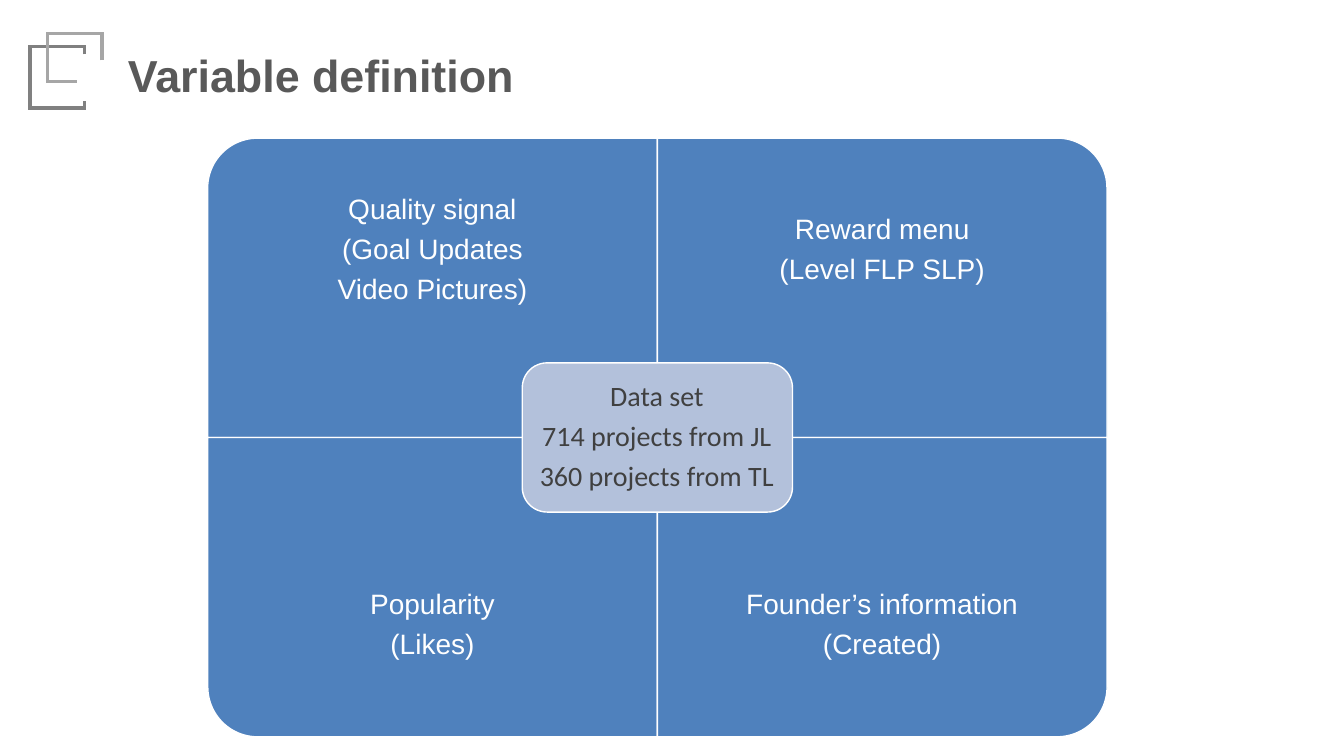
import lxml.etree
import pptx
import pptx.util
import pptx.dml.color
import pptx.enum.shapes
import pptx.enum.text
import pptx.oxml.ns

Inches = pptx.util.Inches
Pt = pptx.util.Pt
SHAPES = pptx.enum.shapes.MSO_SHAPE
ALIGN = pptx.enum.text.PP_ALIGN
ANCHOR = pptx.enum.text.MSO_ANCHOR
qn = pptx.oxml.ns.qn


def color(hex_value):
    return pptx.dml.color.RGBColor.from_string(hex_value)


class SlideBuilder:
    """Holds the style and the current slide."""

    blue, pale, white = "4F81BD", "B3C1DB", "FFFFFF"
    title_gray, text_gray = "595959", "404040"

    def __init__(self, slide):
        self.slide = slide

    def outline(self, points, line):
        corners = [(Inches(x), Inches(y)) for x, y in points]
        builder = self.slide.shapes.build_freeform(*corners[0], scale=1.0)
        builder.add_line_segments(corners[1:], close=False)
        bracket = builder.convert_to_shape()
        bracket.shadow.inherit = False
        bracket.fill.background()
        bracket.line.color.rgb = color(line)
        bracket.line.width = Pt(2.5)
        # Sharp corners
        stroke = bracket.element.spPr.find(qn("a:ln"))
        lxml.etree.SubElement(stroke, qn("a:miter"), lim="800000")

    def panel(self, kind, left, top, width, height, fill, rotation=0):
        panel = self.slide.shapes.add_shape(
            kind, Inches(left), Inches(top), Inches(width), Inches(height))
        panel.rotation = rotation
        panel.shadow.inherit = False
        panel.fill.solid()
        panel.fill.fore_color.rgb = color(fill)
        panel.line.color.rgb = color(self.white)
        panel.line.width = Pt(1)

    def run(self, paragraph, text, font, size, ink, bold=False):
        run = paragraph.add_run()
        run.text = text
        run.font.name = font
        run.font.size = Pt(size)
        run.font.bold = bold
        run.font.color.rgb = color(ink)

    def title(self, left, top, width, height, text):
        heading = self.slide.shapes.add_textbox(
            Inches(left), Inches(top), Inches(width), Inches(height))
        heading.text_frame.word_wrap = False
        self.run(heading.text_frame.paragraphs[0], text, "Arial", 32,
                 self.title_gray, bold=True)

    def label(self, left, top, width, height, lines, font, ink, inset):
        label = self.slide.shapes.add_textbox(
            Inches(left), Inches(top), Inches(width), Inches(height))
        frame = label.text_frame
        frame.word_wrap = True
        frame.vertical_anchor = ANCHOR.MIDDLE
        frame.margin_left = frame.margin_right = Inches(inset)
        frame.margin_top = frame.margin_bottom = Inches(inset)
        for index, line in enumerate(lines):
            paragraph = frame.add_paragraph() if index else frame.paragraphs[0]
            paragraph.alignment = ALIGN.CENTER
            paragraph.line_spacing = 0.9
            paragraph.space_after = Pt(7)
            self.run(paragraph, line, font, 20, ink)


def main():
    deck = pptx.Presentation()
    deck.slide_width, deck.slide_height = Inches(13.33), Inches(7.5)
    page = SlideBuilder(deck.slides.add_slide(deck.slide_layouts[6]))

    # Heading with its two open brackets
    page.outline([(0.84, 0.54), (0.84, 0.46), (0.3, 0.46), (0.3, 1.07),
                  (0.84, 1.07), (0.84, 1)], "808080")
    page.outline([(1.01, 0.6), (1.01, 0.33), (0.47, 0.33), (0.47, 0.81),
                  (0.76, 0.81)], "A6A6A6")
    page.title(1.17, 0.42, 4.06, 0.64, "Variable definition")

    # Four quadrants: column, row, turn of the rounded corner, wording
    matrix_left, matrix_top = 2.06, 1.37
    width, height, label_height = 4.46, 2.97, 2.22
    quadrants = [
        (0, 0, 270, ["Quality signal", "(Goal Updates", "Video Pictures)"]),
        (1, 0, 0, ["Reward menu", "(Level FLP SLP)"]),
        (0, 1, 180, ["Popularity", "(Likes)"]),
        (1, 1, 90, ["Founder’s information", "(Created)"]),
    ]
    for column, row, turn, lines in quadrants:
        left = matrix_left + column * width
        top = matrix_top + row * height
        # A quarter turn swaps the sides around the same centre
        wide, high = (height, width) if turn % 180 else (width, height)
        page.panel(SHAPES.ROUND_1_RECTANGLE, left + (width - wide) / 2,
                   top + (height - high) / 2, wide, high, page.blue, turn)
        label_top = top + row * (height - label_height)
        page.label(left, label_top, width, label_height, lines,
                   "Arial", page.white, inset=0.16)

    # Data set in the centre
    page.panel(SHAPES.ROUNDED_RECTANGLE, 5.18, 3.6, 2.68, 1.48, page.pale)
    page.label(5.25, 3.67, 2.53, 1.34,
               ["Data set", "714 projects from JL", "360 projects from TL"],
               "Calibri", page.text_gray, inset=0.05)

    deck.save("out.pptx")


if __name__ == "__main__":
    main()
